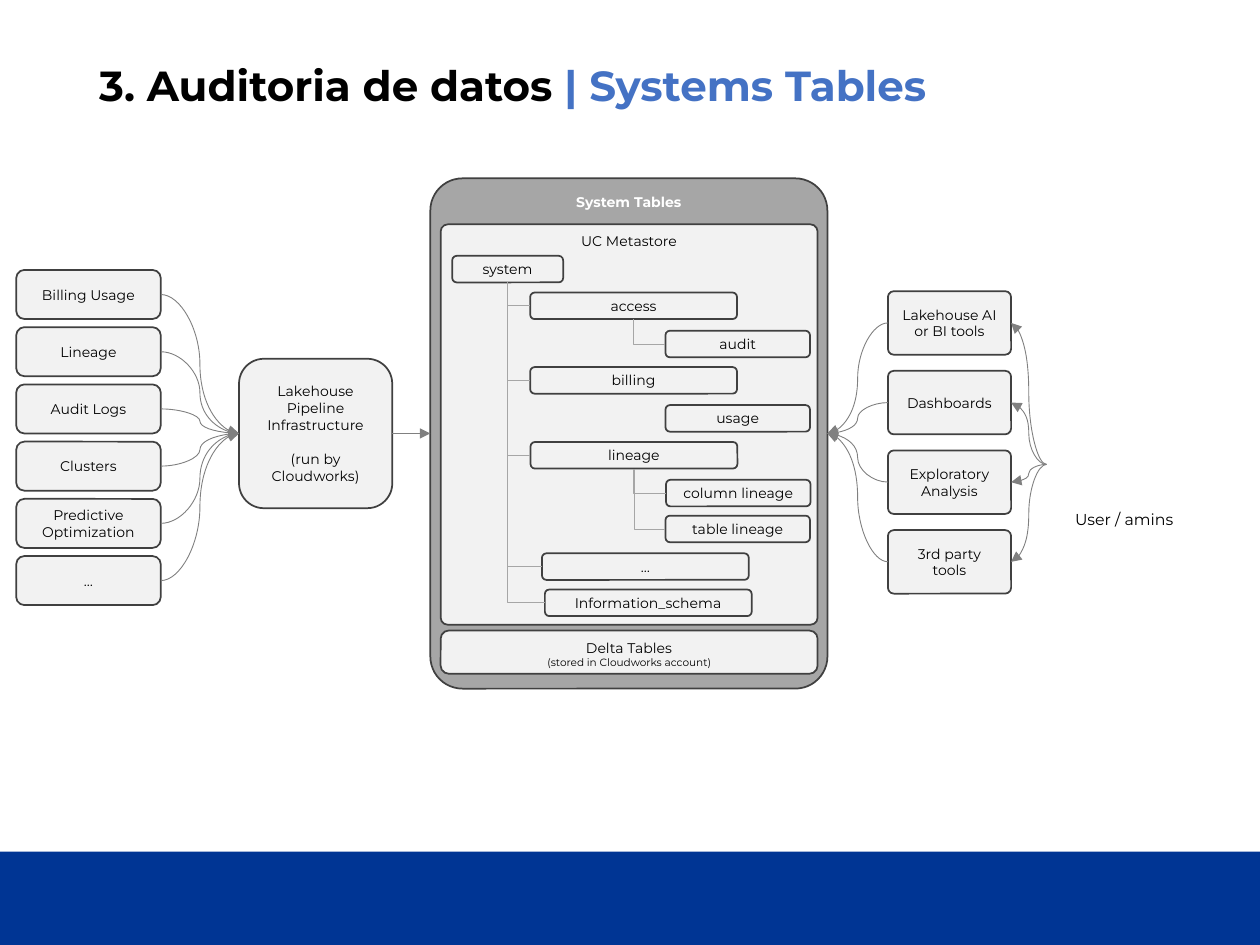
from dataclasses import dataclass
from typing import Optional

from lxml import etree
from pptx import Presentation
from pptx import util as u
from pptx.dml.color import RGBColor
from pptx.enum import shapes, text
from pptx.oxml import ns

COLORS = {
    "black": "000000", "white": "FFFFFF", "accent": "4472C4", "footer": "003594",
    "panel": "A6A6A6", "box": "F2F2F2", "border": "404040",
    "arrow": "808080", "branch": "A6A6A6",
}
FONT = "Montserrat"


@dataclass
class Box:
    label: str
    left: float
    top: float
    width: float
    height: float
    fill: str = "box"
    color: str = "black"
    bold: bool = False
    corner: Optional[float] = None
    anchor: text.MSO_ANCHOR = text.MSO_ANCHOR.MIDDLE
    parent: Optional[str] = None

    @property
    def right(self) -> float:
        return self.left + self.width

    @property
    def bottom(self) -> float:
        return self.top + self.height

    @property
    def center_x(self) -> float:
        return self.left + self.width / 2

    @property
    def center_y(self) -> float:
        return self.top + self.height / 2


def rgb(name: str) -> RGBColor:
    return RGBColor.from_string(COLORS[name])


def style_font(font, size: float, color: str, bold: bool = False) -> None:
    font.name = FONT
    font.size = u.Pt(size)
    font.bold = bold
    font.color.rgb = rgb(color)


def draw_box(slide, box: Box):
    shape = slide.shapes.add_shape(
        shapes.MSO_SHAPE.ROUNDED_RECTANGLE,
        u.Pt(box.left), u.Pt(box.top), u.Pt(box.width), u.Pt(box.height))
    shape.shadow.inherit = False
    if box.corner is not None:
        shape.adjustments[0] = box.corner
    shape.fill.solid()
    shape.fill.fore_color.rgb = rgb(box.fill)
    shape.line.color.rgb = rgb("border")
    shape.line.width = u.Pt(1)
    frame = shape.text_frame
    frame.word_wrap = True
    frame.vertical_anchor = box.anchor
    frame.text = box.label
    for paragraph in frame.paragraphs:
        paragraph.alignment = text.PP_ALIGN.CENTER
        for run in paragraph.runs:
            style_font(run.font, 8, box.color, box.bold)
    return shape


def draw_connector(slide, kind, start: tuple[float, float], end: tuple[float, float],
                   color: str = "arrow", arrowhead: bool = True):
    connector = slide.shapes.add_connector(kind, *(u.Pt(value) for value in (*start, *end)))
    connector.line.color.rgb = rgb(color)
    connector.line.width = u.Pt(0.5)
    if arrowhead:
        etree.SubElement(connector.line._get_or_add_ln(), ns.qn("a:tailEnd"), type="triangle")
    etree.SubElement(connector.element.spPr, ns.qn("a:effectLst"))
    return connector


def draw_branch(slide, parent: Box, child: Box) -> None:
    """Join a child's left side to its parent's bottom with a single bend."""
    connector = draw_connector(
        slide, shapes.MSO_CONNECTOR.ELBOW, (child.left, child.center_y),
        (parent.center_x, parent.bottom), "branch", arrowhead=False)
    connector.element.spPr.find(ns.qn("a:prstGeom")).set("prst", "bentConnector2")


def draw_title(slide) -> None:
    title = slide.shapes.title
    title.left, title.top, title.width, title.height = (
        u.Pt(value) for value in (49.5, 28.8, 620.6, 42.5))
    title.text_frame.vertical_anchor = text.MSO_ANCHOR.MIDDLE
    paragraph = title.text_frame.paragraphs[0]
    paragraph.alignment = text.PP_ALIGN.LEFT
    paragraph.line_spacing = 0.9
    for words, color in (("3. Auditoria de datos ", "black"), ("| Systems Tables", "accent")):
        run = paragraph.add_run()
        run.text = words
        style_font(run.font, 24, color, True)


def draw_footer(slide) -> None:
    footer = slide.shapes.add_shape(
        shapes.MSO_SHAPE.RECTANGLE, 0, u.Pt(486.7), u.Pt(720), u.Pt(53.3))
    footer.shadow.inherit = False
    footer.fill.solid()
    footer.fill.fore_color.rgb = rgb("footer")
    footer.line.fill.background()


def main() -> None:
    presentation = Presentation()
    presentation.slide_width, presentation.slide_height = u.Pt(720), u.Pt(540)
    slide = presentation.slides.add_slide(presentation.slide_layouts[5])
    curve = shapes.MSO_CONNECTOR.CURVE
    top = text.MSO_ANCHOR.TOP

    draw_footer(slide)
    draw_title(slide)

    source_names = ["Billing Usage", "Lineage", "Audit Logs", "Clusters",
                    "Predictive Optimization", "…"]
    sources = [Box(name, 9.3, 154.3 + 32.7 * row, 82.6, 28)
               for row, name in enumerate(source_names)]
    pipeline = Box("Lakehouse\nPipeline\nInfrastructure\n(run by Cloudworks)",
                   136.6, 205, 87.6, 85.4)
    panel = Box("System Tables", 245.9, 101.9, 226.9, 291.6, "panel", "white", True, 0.081, top)
    metastore = Box("UC Metastore", 251.8, 128.2, 215.4, 228.8, corner=0.019, anchor=top)
    storage = Box("Delta Tables\n(stored in Cloudworks account)", 251.8, 360.3, 215.4, 24.7,
                  corner=0.189, anchor=top)
    tree_rows = [
        ("system", 258.4, 146.2, 63.4, None),
        ("access", 303, 167.2, 118.2, "system"),
        ("audit", 380.3, 189, 82.6, "access"),
        ("billing", 303, 209.8, 118.2, "system"),
        ("usage", 380.3, 231.5, 82.6, None),
        ("lineage", 303.2, 252.6, 118.2, "system"),
        ("column lineage", 380.6, 274.2, 82.6, "lineage"),
        ("table lineage", 380.3, 294.7, 82.6, "lineage"),
        ("…", 309.7, 316.2, 118.2, "system"),
        ("Information_schema", 311.4, 336.9, 118.2, "system"),
    ]
    tree = {name: Box(name, left, y, width, 15.2, parent=parent)
            for name, left, y, width, parent in tree_rows}
    tool_names = ["Lakehouse AI or BI tools", "Dashboards", "Exploratory\nAnalysis",
                  "3rd party tools"]
    tools = [Box(name, 507.4, 166.4 + 45.5 * row, 70.4, 36.3, corner=0.093)
             for row, name in enumerate(tool_names)]

    for box in sources:
        draw_box(slide, box)
    pipeline_shape = draw_box(slide, pipeline)
    pipeline_shape.text_frame.paragraphs[-1].space_before = u.Pt(9.8)
    for box in sources:
        draw_connector(slide, curve, (box.right, box.center_y), (pipeline.left, pipeline.center_y))

    panel_shape = draw_box(slide, panel)
    draw_box(slide, metastore)
    for box in tree.values():
        draw_box(slide, box)
    for box in tree.values():
        if box.parent:
            draw_branch(slide, tree[box.parent], box)
    storage_shape = draw_box(slide, storage)
    storage_shape.text_frame.paragraphs[1].runs[0].font.size = u.Pt(6)

    flow = draw_connector(slide, shapes.MSO_CONNECTOR.STRAIGHT,
                          (pipeline.right, pipeline.center_y), (panel.left, panel.center_y))
    flow.begin_connect(pipeline_shape, 3)
    flow.end_connect(panel_shape, 1)

    user_point = (598, 265.4)
    for box in tools:
        draw_box(slide, box)
        draw_connector(slide, curve, (box.left, box.center_y), (panel.right, panel.center_y))
        draw_connector(slide, curve, user_point, (box.right, box.center_y))

    user = slide.shapes.add_textbox(u.Pt(607.2), u.Pt(288), u.Pt(82.8), u.Pt(18.2))
    user.text_frame.word_wrap = True
    user.text_frame.text = "User / amins"
    style_font(user.text_frame.paragraphs[0].runs[0].font, 9, "black")

    presentation.save("out.pptx")


if __name__ == "__main__":
    main()
